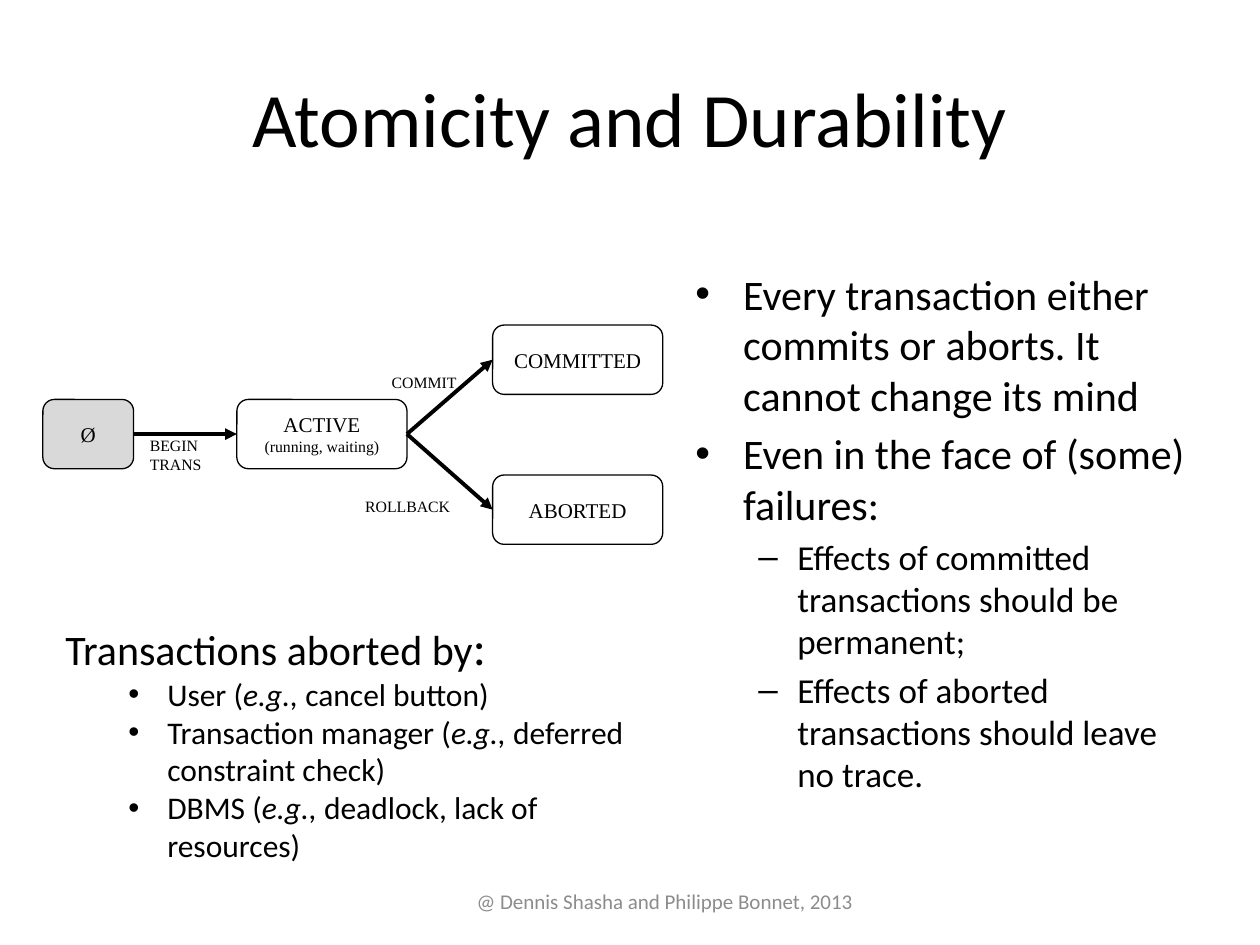
"""Build the slide on atomicity and durability of transactions."""
from dataclasses import dataclass

from lxml.etree import SubElement
from pptx import Presentation
from pptx.dml.color import RGBColor
from pptx.enum.shapes import MSO_CONNECTOR, MSO_SHAPE
from pptx.enum.text import MSO_ANCHOR, MSO_AUTO_SIZE, PP_ALIGN
from pptx.oxml.ns import qn
from pptx.util import Inches, Pt

COLORS = {"ink": "000000", "start": "D9D9D9", "foot": "8C8C8C"}
SANS, SERIF = "Calibri", "Times New Roman"
LEFT, RIGHT = 1, 3


@dataclass
class Line:
    text: str
    size: float
    mark: str = ""
    level: int = 0
    gap: float = 0


@dataclass
class State:
    name: str
    left: float
    top: float
    width: float = 1.35
    note: str = ""
    fill: str = ""


@dataclass
class Label:
    text: str
    left: float
    top: float
    width: float
    height: float = 0.25


STATES = [
    State("Ø", 0.34, 3.17, 0.72, fill="start"),
    State("ACTIVE", 1.88, 3.17, note="(running, waiting)"),
    State("COMMITTED", 3.91, 2.58),
    State("ABORTED", 3.91, 3.77),
]
MOVES = [("Ø", "ACTIVE"), ("ACTIVE", "COMMITTED"), ("ACTIVE", "ABORTED")]
LABELS = [
    Label("BEGIN\nTRANS", 1.09, 3.41, 0.61, 0.4),
    Label("COMMIT", 3.01, 2.91, 0.72),
    Label("ROLLBACK", 2.8, 3.89, 0.88),
]
RULES = [
    Line("Every transaction either commits or aborts. It cannot change its mind", 24, "•", 0, 4.8),
    Line("Even in the face of (some) failures:", 24, "•", 0, 4.8),
    Line("Effects of committed transactions should be permanent;", 20, "–", 1, 4),
    Line("Effects of aborted transactions should leave no trace.", 20, "–", 1, 4),
]
CAUSES = [
    Line("Transactions aborted by", 24),
    Line("User (*e.g.,* cancel button)", 18, "•", 1),
    Line("Transaction manager (*e.g., *deferred constraint check)", 18, "•", 1),
    Line("DBMS (*e.g.,* deadlock, lack of resources)", 18, "•", 1),
]


def style(run, size: float, face: str, color: str = "ink") -> None:
    """Set the font of one run."""
    run.font.size = Pt(size)
    run.font.name = face
    run.font.color.rgb = RGBColor.from_string(COLORS[color])


def write(frame, lines: list[Line], face: str, align=PP_ALIGN.LEFT, color: str = "ink") -> None:
    """Fill a frame with lines, where stars enclose italic text."""
    frame.text = "\n".join("" for _ in lines)
    for para, line in zip(frame.paragraphs, lines):
        para.alignment = align
        para.level = line.level
        para.space_before = Pt(line.gap)
        para.text = line.text.split("*")[0]
        for index, part in enumerate(line.text.split("*")[1:]):
            run = para.add_run()
            run.text = part
            run.font.italic = index % 2 == 0
        for run in para.runs:
            style(run, line.size, face, color)
        if line.mark:
            add_mark(para, line)


def add_mark(para, line: Line) -> None:
    """Give a paragraph its bullet and hanging indent."""
    margin, hang = ((0.38, 0.38), (0.81, 0.31))[line.level]
    props = para._p.get_or_add_pPr()
    props.set("marL", str(Inches(margin)))
    props.set("indent", str(-Inches(hang)))
    SubElement(props, qn("a:buFont")).set("typeface", "Arial")
    SubElement(props, qn("a:buChar")).set("char", line.mark)


def add_text(slide, left: float, top: float, width: float, height: float, wrap: bool = True):
    """Add a text box and return its frame."""
    box = slide.shapes.add_textbox(Inches(left), Inches(top), Inches(width), Inches(height))
    box.text_frame.word_wrap = wrap
    return box.text_frame


def add_state(slide, state: State):
    """Draw one state as a rounded box."""
    box = slide.shapes.add_shape(
        MSO_SHAPE.ROUNDED_RECTANGLE, Inches(state.left), Inches(state.top),
        Inches(state.width), Inches(0.55))
    box.shadow.inherit = False
    if state.fill:
        box.fill.solid()
        box.fill.fore_color.rgb = RGBColor.from_string(COLORS[state.fill])
    else:
        box.fill.background()
    box.line.color.rgb = RGBColor.from_string(COLORS["ink"])
    box.line.width = Pt(0.75)
    frame = box.text_frame
    frame.word_wrap = False
    frame.vertical_anchor = MSO_ANCHOR.MIDDLE
    lines = [Line(state.name, 12)] + ([Line(state.note, 9)] if state.note else [])
    write(frame, lines, SERIF, PP_ALIGN.CENTER)
    return box


def add_move(slide, start, end) -> None:
    """Draw an arrow from the right of one box to the left of another."""
    arrow = slide.shapes.add_connector(MSO_CONNECTOR.STRAIGHT, 0, 0, 0, 0)
    arrow.begin_connect(start, RIGHT)
    arrow.end_connect(end, LEFT)
    arrow.line.color.rgb = RGBColor.from_string(COLORS["ink"])
    arrow.line.width = Pt(2.25)
    SubElement(arrow.line._get_or_add_ln(), qn("a:tailEnd")).set("type", "triangle")
    SubElement(arrow._element.spPr, qn("a:effectLst"))


def main() -> None:
    """Build and save the slide."""
    deck = Presentation()
    deck.slide_width, deck.slide_height = Inches(10), Inches(7.5)
    slide = deck.slides.add_slide(deck.slide_layouts[5])

    title = slide.shapes.title
    title.left, title.top = Inches(0.5), Inches(0.3)
    title.width, title.height = Inches(9), Inches(1.25)
    title.text_frame.vertical_anchor = MSO_ANCHOR.MIDDLE
    write(title.text_frame, [Line("Atomicity and Durability", 44)], SANS, PP_ALIGN.CENTER)

    foot = add_text(slide, 3.42, 6.95, 3.75, 0.4)
    foot.vertical_anchor = MSO_ANCHOR.MIDDLE
    credit = Line("@ Dennis Shasha and Philippe Bonnet, 2013 ", 12)
    write(foot, [credit], SANS, PP_ALIGN.CENTER, "foot")

    write(add_text(slide, 5.42, 2.08, 4.17, 4.5), RULES, SANS)

    boxes = {state.name: add_state(slide, state) for state in STATES}
    for start, end in MOVES:
        add_move(slide, boxes[start], boxes[end])
    for label in LABELS:
        frame = add_text(slide, label.left, label.top, label.width, label.height, False)
        frame.auto_size = MSO_AUTO_SIZE.SHAPE_TO_FIT_TEXT
        write(frame, [Line(label.text, 9)], SERIF)

    causes = add_text(slide, 0.42, 4.84, 4.84, 2.39)
    causes.auto_size = MSO_AUTO_SIZE.SHAPE_TO_FIT_TEXT
    write(causes, CAUSES, SANS)
    colon = causes.paragraphs[0].add_run()
    colon.text = ":"
    style(colon, 28, SANS)

    deck.save("out.pptx")


if __name__ == "__main__":
    main()
